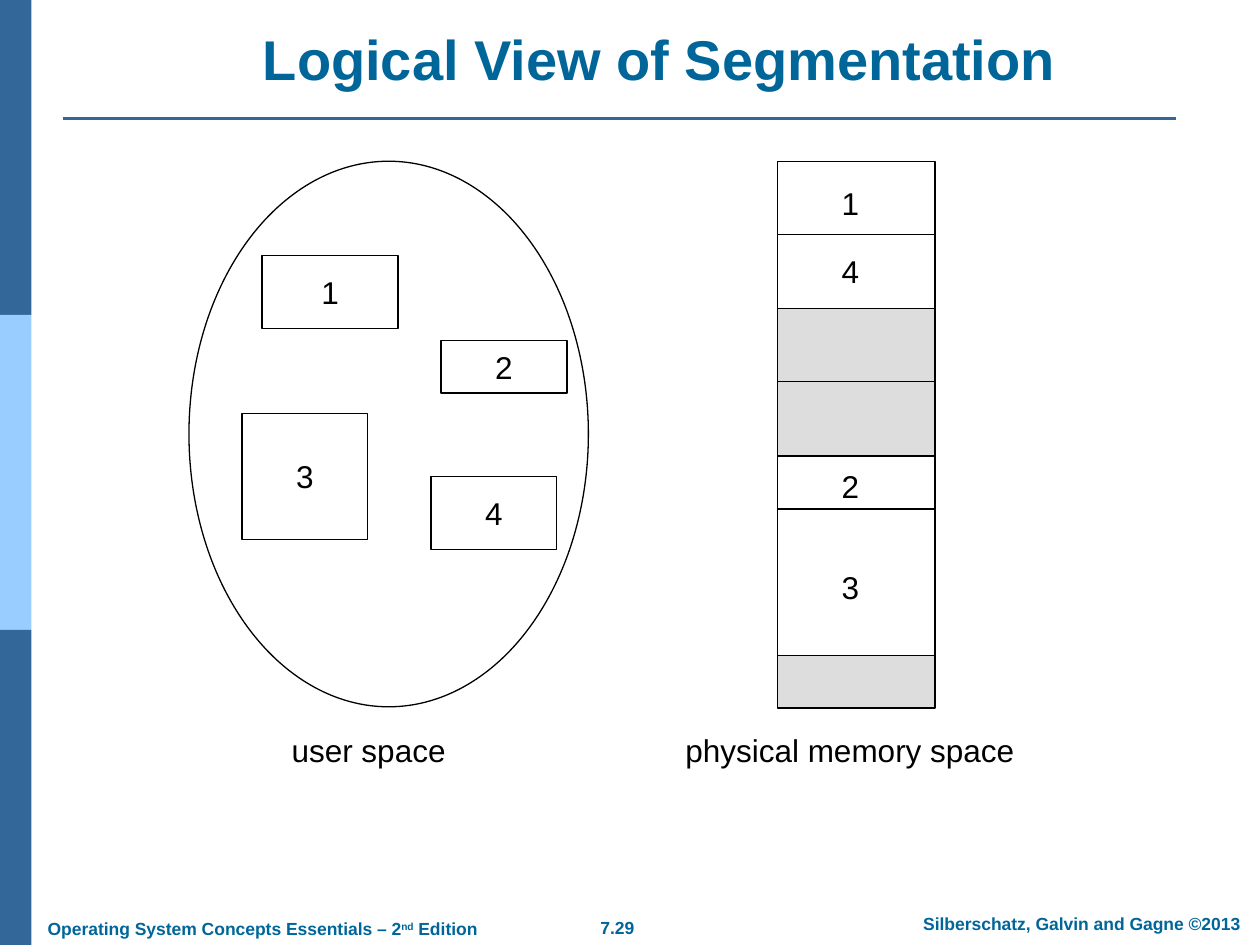
from typing import NamedTuple

from lxml.etree import SubElement
from pptx import Presentation
from pptx.dml.color import RGBColor
from pptx.enum.shapes import MSO_CONNECTOR as Connector, MSO_SHAPE as Shape
from pptx.enum.text import MSO_ANCHOR as Anchor, PP_ALIGN as Align
from pptx.oxml.ns import qn
from pptx.util import Inches, Pt

COLORS = {
    "bar": "336699",
    "bar_light": "99CCFF",
    "heading": "006699",
    "ink": "000000",
    "paper": "FFFFFF",
    "free": "DDDDDD",
}


class Box(NamedTuple):
    left: float
    top: float
    width: float
    height: float

    def inner(self, x, y, width, height):
        return Box(self.left + x, self.top + y, width, height)

    def lengths(self):
        return [Inches(value) for value in self]


def color(name):
    return RGBColor.from_string(COLORS[name])


def write(frame, text, *, size=18, ink="ink", bold=False, align=Align.CENTER,
          anchor=Anchor.MIDDLE, wrap=False, raised=""):
    frame.word_wrap = wrap
    frame.vertical_anchor = anchor
    paragraph = frame.paragraphs[0]
    paragraph.alignment = align
    before, mark, after = text.partition(raised) if raised else (text, "", "")
    for part in filter(None, (before, mark, after)):
        run = paragraph.add_run()
        run.text = part
        run.font.name = "Arial"
        run.font.size = Pt(size)
        run.font.bold = bold
        run.font.color.rgb = color(ink)
        if raised and part == mark:
            run.font._element.set("baseline", "30000")


def add_text(slide, box, text, **style):
    write(slide.shapes.add_textbox(*box.lengths()).text_frame, text, **style)


def add_block(slide, box, fill="paper", outline="ink", kind=Shape.RECTANGLE):
    block = slide.shapes.add_shape(kind, *box.lengths())
    block.shadow.inherit = False
    block.fill.solid()
    block.fill.fore_color.rgb = color(fill)
    if outline:
        block.line.color.rgb = color(outline)
        block.line.width = Pt(0.75)
    else:
        block.line.fill.background()
    return block


def add_rule(slide, left, right, y, ink="ink", width=0.75):
    rule = slide.shapes.add_connector(
        Connector.STRAIGHT, Inches(left), Inches(y), Inches(right), Inches(y))
    rule.line.color.rgb = color(ink)
    rule.line.width = Pt(width)
    SubElement(rule._element.spPr, qn("a:effectLst"))


def add_sidebar(slide, box):
    height = box.height / 3
    for index, fill in enumerate(("bar", "bar_light", "bar")):
        add_block(slide, box.inner(0, index * height, box.width, height),
                  fill, outline=None)


def add_header(slide, box):
    add_text(slide, box.inner(0.47, 0, 8.53, 0.63), "Logical View of Segmentation",
             size=32, ink="heading", bold=True, anchor=Anchor.BOTTOM, wrap=True)
    add_rule(slide, box.left, box.left + 8.83, box.top + box.height, "bar", 1.5)


def add_footer(slide, box):
    style = {"size": 10, "ink": "heading", "bold": True, "anchor": Anchor.TOP}
    add_text(slide, box.inner(0, 0.04, 3.61, 0.27),
             "Operating System Concepts Essentials – 2nd Edition",
             align=Align.LEFT, raised="nd", **style)
    add_text(slide, box.inner(4.13, 0.03, 0.98, 0.27), "7.29", **style)
    add_text(slide, box.inner(6.82, 0, 2.97, 0.27),
             "Silberschatz, Galvin and Gagne ©2013", wrap=True, **style)


def add_user_space(slide, box):
    add_block(slide, box, kind=Shape.OVAL)
    segments = (
        ("1", 0.58, 0.75, 1.08, 0.58),
        ("3", 0.42, 2, 1, 1),
        ("2", 2, 1.42, 1, 0.42),
        ("4", 1.92, 2.5, 1, 0.58),
    )
    for label, *place in segments:
        write(add_block(slide, box.inner(*place)).text_frame, label)
    add_text(slide, box.inner(0.68, box.height + 0.14, 1.49, 0.4), "user space")


def add_physical_memory(slide, box):
    regions = (
        ("paper", 1.17, 0.58, (("1", 0.13), ("4", 0.67))),
        ("free", 1.17, 0.58, ()),
        ("paper", 1.58, 0.42, (("2", 0.04), ("3", 0.84))),
        ("free", 0.42, None, ()),
    )
    offset = 0
    for fill, height, split, labels in regions:
        region = box.inner(0, offset, box.width, height)
        add_block(slide, region, fill)
        if split:
            add_rule(slide, region.left, region.left + region.width,
                     region.top + split)
        for label, y in labels:
            add_text(slide, region.inner(0.41, y, 0.34, 0.4), label)
        offset += height
    add_text(slide, box.inner(-0.83, box.height + 0.14, 2.81, 0.4),
             "physical memory space")


def main():
    presentation = Presentation()
    presentation.slide_width = Inches(10)
    presentation.slide_height = Inches(7.5)
    slide = presentation.slides.add_slide(presentation.slide_layouts[6])
    add_sidebar(slide, Box(0, 0, 0.25, 7.5))
    add_header(slide, Box(0.5, 0.15, 9, 0.79))
    add_footer(slide, Box(0.28, 7.2, 9.72, 0.3))
    add_user_space(slide, Box(1.5, 1.28, 3.17, 4.33))
    add_physical_memory(slide, Box(6.17, 1.28, 1.25, 4.33))
    presentation.save("out.pptx")


if __name__ == "__main__":
    main()
